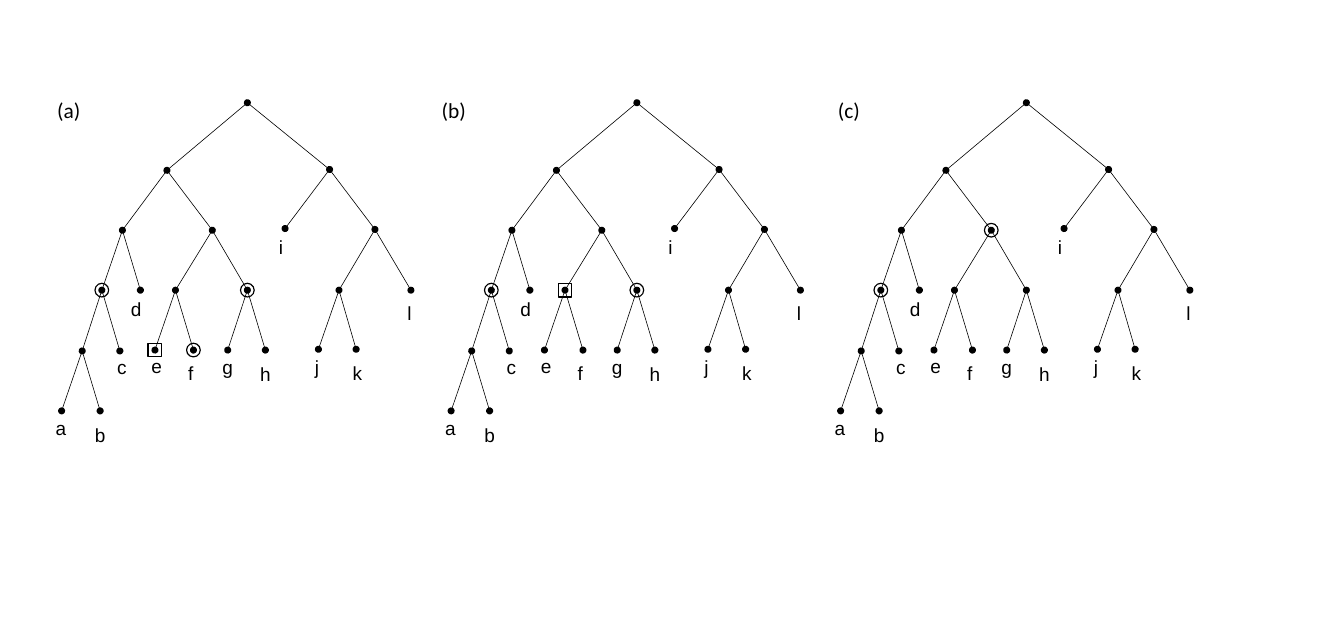
from lxml import etree
from pptx import Presentation
from pptx import util as u
from pptx.dml.color import RGBColor
from pptx.enum import shapes, text
from pptx.oxml import ns

TREE_STEP = 4.55
NODES = {
    "root": (2.89, 1.2), "left": (1.95, 1.99), "right": (3.85, 1.98),
    "abcd": (1.43, 2.69), "efgh": (2.48, 2.69), "i": (3.33, 2.67), "jkl": (4.38, 2.68),
    "abc": (1.19, 3.39), "d": (1.64, 3.39), "ef": (2.05, 3.39), "gh": (2.89, 3.39),
    "jk": (3.96, 3.39), "l": (4.8, 3.39),
    "ab": (0.96, 4.1), "c": (1.4, 4.1), "e": (1.81, 4.09), "f": (2.26, 4.09),
    "g": (2.66, 4.09), "h": (3.1, 4.09), "j": (3.72, 4.08), "k": (4.16, 4.08),
    "a": (0.72, 4.8), "b": (1.17, 4.8),
}
CHILDREN = {
    "root": ("left", "right"), "left": ("abcd", "efgh"), "right": ("i", "jkl"),
    "abcd": ("abc", "d"), "efgh": ("ef", "gh"), "jkl": ("jk", "l"),
    "abc": ("ab", "c"), "ef": ("e", "f"), "gh": ("g", "h"), "jk": ("j", "k"),
    "ab": ("a", "b"),
}
LEAF_LABELS = {
    "a": (0.55, 4.82, 0.32), "b": (1.01, 4.9, 0.31), "c": (1.27, 4.11, 0.29),
    "d": (1.43, 3.43, 0.32), "e": (1.67, 4.09, 0.29), "f": (2.1, 4.18, 0.27),
    "g": (2.5, 4.11, 0.31), "h": (2.94, 4.19, 0.32), "i": (3.16, 2.7, 0.27),
    "j": (3.58, 4.11, 0.26), "k": (4.02, 4.17, 0.31), "l": (4.66, 3.47, 0.26),
}
PANELS = [
    ("(a)", 0.57, 0.48, ("abc", "f", "gh"), ("e",)),
    ("(b)", 5.06, 0.49, ("abc", "gh"), ("ef",)),
    ("(c)", 9.69, 0.46, ("abc", "efgh"), ()),
]


def color(value):
    return RGBColor.from_string(value)


class TreeSlide:
    ink = "000000"
    mark_size = 0.16

    def __init__(self, slide):
        self.slide = slide

    def edge(self, parent, start, end, root_dot):
        line = parent.shapes.add_connector(
            shapes.MSO_CONNECTOR.STRAIGHT, *map(u.Inches, (*start, *end)))
        line.line.color.rgb = color(self.ink)
        line.line.width = u.Pt(0.5)
        outline = line.line._get_or_add_ln()
        for dot in ("a:headEnd", "a:tailEnd") if root_dot else ("a:tailEnd",):
            etree.SubElement(outline, ns.qn(dot), type="oval")
        etree.SubElement(line._element.spPr, ns.qn("a:effectLst"))

    def label(self, parent, wording, left, top, width, height, size, font):
        box = parent.shapes.add_textbox(*map(u.Inches, (left, top, width, height)))
        frame = box.text_frame
        frame.word_wrap = False
        frame.auto_size = text.MSO_AUTO_SIZE.SHAPE_TO_FIT_TEXT
        paragraph = frame.paragraphs[0]
        paragraph.text = wording
        paragraph.font.size = u.Pt(size)
        paragraph.font.name = font
        paragraph.font.color.rgb = color(self.ink)

    def mark(self, parent, kind, x, y):
        half = self.mark_size / 2
        ring = parent.shapes.add_shape(
            kind, u.Inches(x - half), u.Inches(y - half),
            u.Inches(self.mark_size), u.Inches(self.mark_size))
        ring.shadow.inherit = False
        ring.fill.background()
        ring.line.color.rgb = color(self.ink)
        ring.line.width = u.Pt(1)

    def tree(self, shift, circled, boxed):
        group = self.slide.shapes.add_group_shape()
        nodes = {name: (x + shift, y) for name, (x, y) in NODES.items()}
        for upper, children in CHILDREN.items():
            for lower in children:
                self.edge(group, nodes[upper], nodes[lower], lower == "left")
        for leaf, (left, top, width) in LEAF_LABELS.items():
            self.label(group, leaf, left + shift, top, width, 0.37, 16, "Arial")
        for name in circled:
            self.mark(group, shapes.MSO_SHAPE.OVAL, *nodes[name])
        for name in boxed:
            self.mark(group, shapes.MSO_SHAPE.RECTANGLE, *nodes[name])


def main():
    deck = Presentation()
    deck.slide_width = u.Inches(15.7)
    deck.slide_height = u.Inches(7.5)
    page = TreeSlide(deck.slides.add_slide(deck.slide_layouts[6]))
    for index, (caption, left, width, circled, boxed) in enumerate(PANELS):
        page.tree(index * TREE_STEP, circled, boxed)
        page.label(page.slide, caption, left, 1.08, width, 0.4, 18, "Calibri")
    deck.save("out.pptx")


if __name__ == "__main__":
    main()
